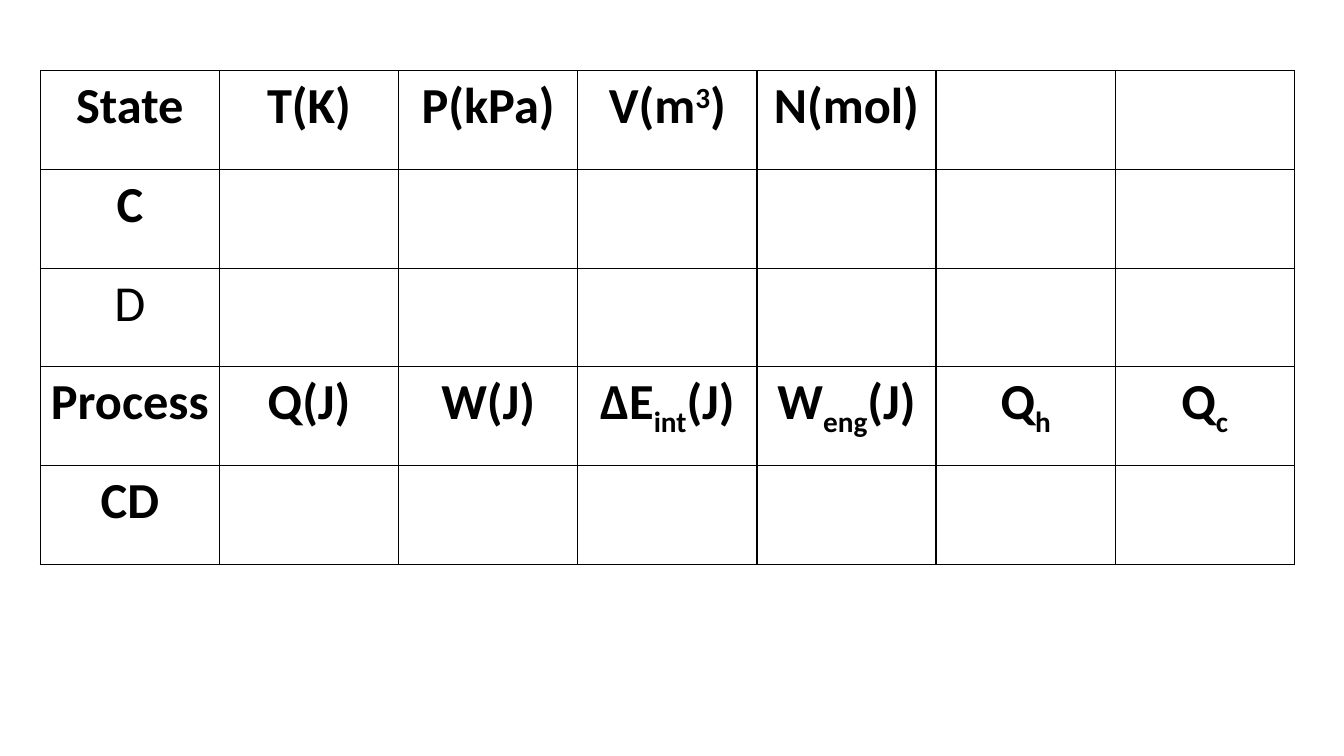
import pptx
import pptx.util
import pptx.dml.color
import pptx.enum.text
import pptx.oxml
import pptx.oxml.ns

Inches = pptx.util.Inches
Pt = pptx.util.Pt

COLORS = {"ink": "000000", "paper": "FFFFFF"}
FONT = "Calibri"
RAISED, LOWERED = 30000, -25000

# Each label is split into pieces; every second piece is a super- or subscript
STATES = [("State",), ("T(K)",), ("P(kPa)",), ("V(m", "3", ")"), ("N(mol)",)]
STEPS = [("Process",), ("Q(J)",), ("W(J)",), ("ΔE", "int", "(J)"),
         ("W", "eng", "(J)"), ("Q", "h"), ("Q", "c")]
# Row labels, script offset, bold
ROWS = [(STATES, RAISED, True),
        ([("C",)], 0, True),
        ([("D",)], 0, False),
        (STEPS, LOWERED, True),
        ([("CD",)], 0, True)]


def color(name):
    return pptx.dml.color.RGBColor.from_string(COLORS[name])


def add_rules(cell):
    """Draw a thin line on all four sides, ahead of the cell's fill."""
    props = cell._tc.get_or_add_tcPr()
    for place, side in enumerate(("lnL", "lnR", "lnT", "lnB")):
        line = pptx.oxml.parse_xml(
            f'<a:{side} {pptx.oxml.ns.nsdecls("a")} w="{Pt(1)}"><a:solidFill>'
            f'<a:srgbClr val="{COLORS["ink"]}"/></a:solidFill></a:{side}>')
        props.insert(place, line)


def write_label(cell, parts, shift, bold):
    para = cell.text_frame.paragraphs[0]
    para.alignment = pptx.enum.text.PP_ALIGN.CENTER
    for place, part in enumerate(parts):
        run = para.add_run()
        run.text = part
        run.font.name = FONT
        run.font.size = Pt(36)
        run.font.bold = bold
        run.font.color.rgb = color("ink")
        if place % 2:
            run.font._element.set("baseline", str(shift))


def add_grid(slide, left, top, width, height):
    frame = slide.shapes.add_table(len(ROWS), len(STEPS), left, top, width, height)
    table = frame.table
    table.first_row = False
    table.horz_banding = False
    for row, (labels, shift, bold) in zip(table.rows, ROWS):
        for place, cell in enumerate(row.cells):
            cell.margin_left = cell.margin_right = Inches(0.09)
            cell.fill.solid()
            cell.fill.fore_color.rgb = color("paper")
            add_rules(cell)
            if place < len(labels):
                write_label(cell, labels[place], shift, bold)


def main():
    deck = pptx.Presentation()
    deck.slide_width = Inches(13.33)
    deck.slide_height = Inches(7.5)
    slide = deck.slides.add_slide(deck.slide_layouts[6])
    # State and process table
    add_grid(slide, Inches(0.4), Inches(0.7), Inches(12.44), Inches(4.9))
    deck.save("out.pptx")


if __name__ == "__main__":
    main()
